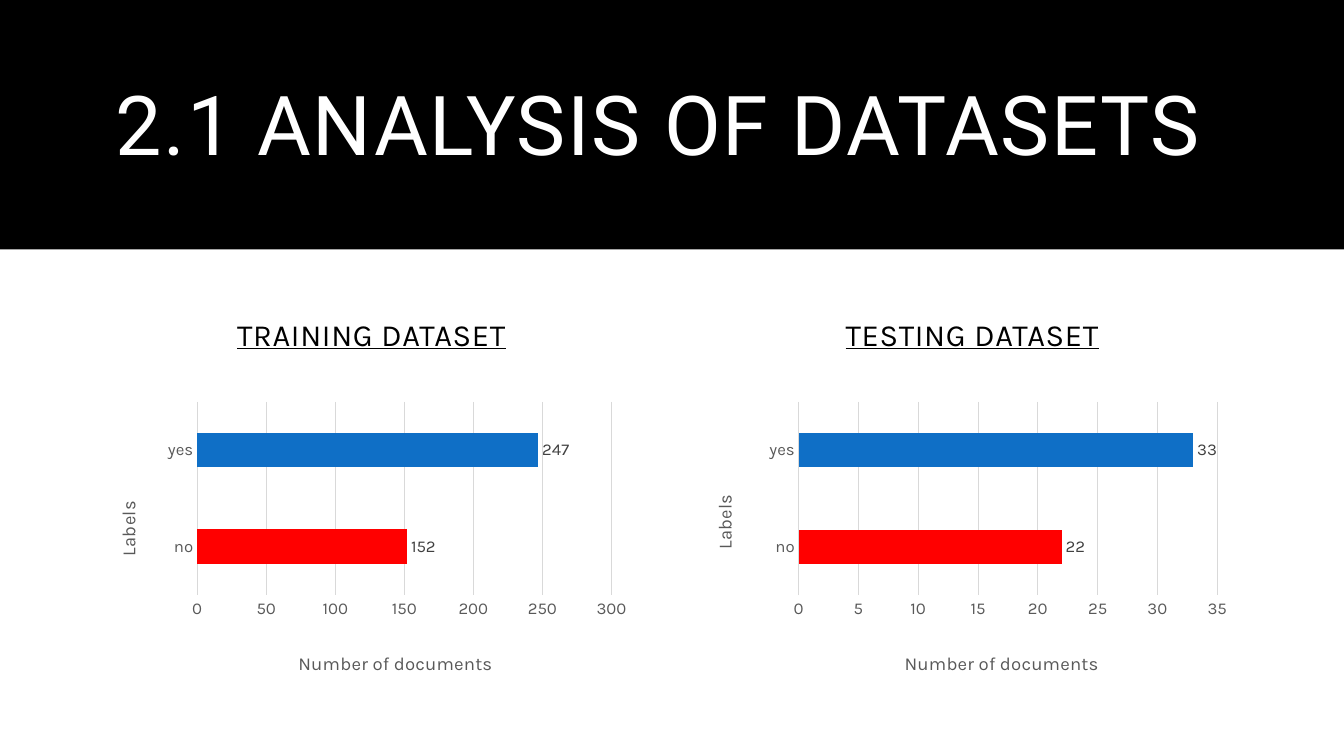
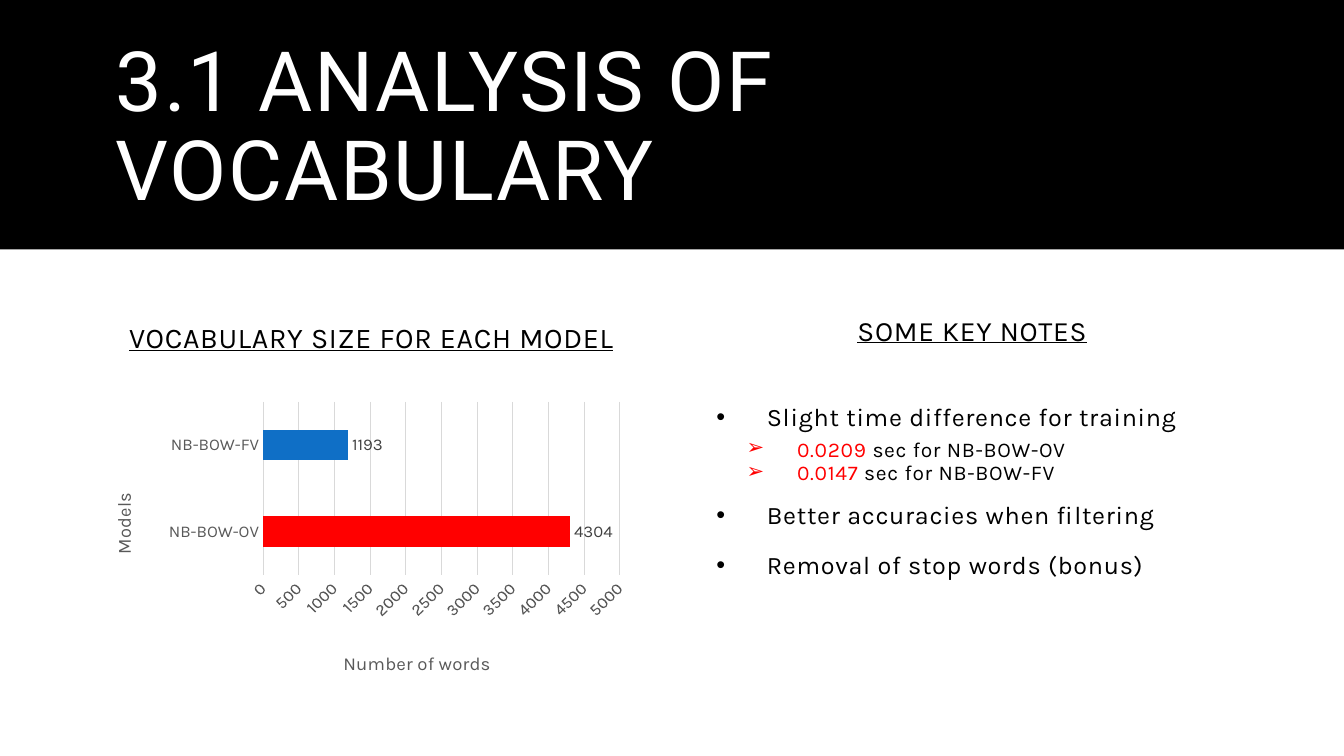
"""Build two analysis slides with bar charts and key notes."""
from dataclasses import dataclass

from lxml.etree import SubElement
from pptx import Presentation
from pptx.chart.data import CategoryChartData
from pptx.dml.color import RGBColor as RGB
from pptx.enum.chart import XL_CHART_TYPE as CT, XL_LABEL_POSITION as LP, XL_TICK_MARK as TM
from pptx.enum.shapes import MSO_SHAPE as SHAPE
from pptx.enum.text import MSO_ANCHOR as ANCHOR, MSO_AUTO_SIZE as FIT, PP_ALIGN as AL
from pptx.oxml.ns import qn
from pptx.util import Pt


@dataclass(frozen=True)
class Theme:
    black: RGB = RGB(0, 0, 0)
    white: RGB = RGB(255, 255, 255)
    red: RGB = RGB(255, 0, 0)
    blue: RGB = RGB(0x0F, 0x6F, 0xC6)
    axis: RGB = RGB(0x59, 0x59, 0x59)
    label: RGB = RGB(0x40, 0x40, 0x40)
    grid: RGB = RGB(0xD9, 0xD9, 0xD9)
    head: str = "Roboto"
    body: str = "Karla"
    title: float = 59
    title_wrapped: float = 59.4
    caption: float = 22
    caption_long: float = 20.4
    caption_notes: float = 20
    note: float = 18
    subnote: float = 15
    axis_title: float = 13.3
    tick: float = 12


T = Theme()
LEFT, RIGHT, COL_W = 75.6, 504.7, 379.4
BODY_TOP, BODY_H, CAPTION_H = 283, 203.8, 70.6


def write(tf, text, *, size, color=T.black, font=T.body, spacing=0.5, lead="", bold=False,
          underline=None, align=None, line=None, gap=None, bullet=None, indent=0, level=0):
    """Write one paragraph, with an optional red lead before the text."""
    p = tf.paragraphs[0]
    if p.runs:
        p = tf.add_paragraph()
    p.alignment, p.level = align, level
    if line is not None:
        p.line_spacing = line
    if gap is not None:
        p.space_before = p.space_after = Pt(gap)
    if bullet:
        pPr = p._p.get_or_add_pPr()
        pPr.set("marL", str(Pt(indent)))
        pPr.set("indent", str(Pt(-36)))
        SubElement(pPr, qn("a:buFont")).set("typeface", "Arial")
        SubElement(pPr, qn("a:buChar")).set("char", bullet)
    for part, tint in ((lead, T.red), (text, color)):
        if part:
            r = p.add_run()
            r.text = part
            r.font.size, r.font.name, r.font.bold = Pt(size), font, bold
            r.font.color.rgb, r.font.underline = tint, underline
            r._r.get_or_add_rPr().set("spc", str(round(spacing * 100)))


def set_layout(parent, index, x, y, w=None, h=None):
    """Place a chart part by hand, in points from the chart's corner."""
    old = parent.find(qn("c:layout"))
    if old is not None:
        parent.remove(old)
    layout = SubElement(parent, qn("c:layout"))
    manual = SubElement(layout, qn("c:manualLayout"))
    values = dict(xMode="edge", yMode="edge", x=x / COL_W, y=y / BODY_H)
    if w:
        values = dict(layoutTarget="inner", **values, w=w / COL_W, h=h / BODY_H)
    for name, value in values.items():
        SubElement(manual, qn(f"c:{name}")).set("val", str(value))
    parent.insert(index, layout)


slides = [
    dict(title="2.1 ANALYSIS OF DATASETS", size=T.title,
         captions=[("TRAINING DATASET", T.caption, LEFT, 203.1),
                   ("TESTING DATASET", T.caption, RIGHT, 203.1)],
         charts=[
             dict(left=LEFT, cats=("no", "yes"), vals=(152, 247), top=300, step=50, rot=0,
                  names=("Labels", "Number of documents"), plot=(65.3, 4.1, 295.9, 140.6),
                  cat_at=(4.3, 74.8), val_at=(135.1, 183.4)),
             dict(left=RIGHT, cats=("no", "yes"), vals=(22, 33), top=35, step=5, rot=0,
                  names=("Labels", "Number of documents"), plot=(65.8, 4.1, 299, 140.8),
                  cat_at=(1.2, 70), val_at=(139, 183.4))],
         notes=[]),
    dict(title="3.1 ANALYSIS OF VOCABULARY", size=T.title_wrapped,
         captions=[("VOCABULARY SIZE FOR EACH MODEL", T.caption_long, LEFT, 205.5),
                   ("SOME KEY NOTES", T.caption_notes, RIGHT, 200.2)],
         charts=[
             dict(left=LEFT, cats=("NB-BOW-OV", "NB-BOW-FV"), vals=(4304, 1193), top=5000,
                  step=500, rot=-45, names=("Models", "Number of words"),
                  plot=(112.3, 4.1, 254.9, 126.5), cat_at=(1.2, 68.7), val_at=(167.2, 184))],
         notes=[("", "Slight time difference for training"),
                ("0.0209", " sec for NB-BOW-OV"),
                ("0.0147", " sec for NB-BOW-FV"),
                ("", "Better accuracies when filtering"),
                ("", "Removal of stop words (bonus)")]),
]

prs = Presentation()
prs.slide_width, prs.slide_height = Pt(960), Pt(540)

for content in slides:
    s = prs.slides.add_slide(prs.slide_layouts[5])
    band = s.shapes.add_shape(SHAPE.RECTANGLE, 0, 0, prs.slide_width, Pt(178.1))
    band.shadow.inherit = False
    band.fill.solid()
    band.fill.fore_color.rgb = T.black
    band.line.fill.background()
    s.shapes._spTree.insert(2, band._element)

    title = s.shapes.title
    title.left, title.top, title.width, title.height = Pt(LEFT), Pt(25.2), Pt(808.6), Pt(133.9)
    tf = title.text_frame
    tf.word_wrap, tf.auto_size, tf.vertical_anchor = True, FIT.NONE, ANCHOR.MIDDLE
    write(tf, content["title"], size=content["size"], color=T.white, font=T.head,
          spacing=1.2, align=AL.LEFT, line=0.9)

    for text, size, left, top in content["captions"]:
        tf = s.shapes.add_textbox(Pt(left), Pt(top), Pt(COL_W), Pt(CAPTION_H)).text_frame
        tf.word_wrap, tf.vertical_anchor = True, ANCHOR.MIDDLE
        write(tf, text, size=size, underline=True, align=AL.CENTER, line=1.01, gap=7)

    for c in content["charts"]:
        data = CategoryChartData()
        data.categories = c["cats"]
        data.add_series("Series 1", c["vals"])
        chart = s.shapes.add_chart(CT.BAR_CLUSTERED, Pt(c["left"]), Pt(BODY_TOP),
                                   Pt(COL_W), Pt(BODY_H), data).chart
        chart.has_title = chart.has_legend = False
        chart.font.size, chart.font.name = Pt(T.tick), T.body

        plot = chart.plots[0]
        plot.gap_width, plot.vary_by_categories = 182, False
        series = plot.series[0]
        for fmt, color in ((series.format, T.blue), (series.points[0].format, T.red)):
            fmt.fill.solid()
            fmt.fill.fore_color.rgb = color
        labels = series.data_labels
        labels.show_value, labels.position = True, LP.OUTSIDE_END
        labels.font.size, labels.font.name = Pt(T.tick), T.body
        labels.font.color.rgb = T.label

        cat, val = chart.category_axis, chart.value_axis
        for axis, name, spot, rot in ((cat, c["names"][0], c["cat_at"], -90),
                                      (val, c["names"][1], c["val_at"], 0)):
            axis.major_tick_mark = axis.minor_tick_mark = TM.NONE
            font = axis.tick_labels.font
            font.size, font.name, font.color.rgb = Pt(T.tick), T.body, T.axis
            tf = axis.axis_title.text_frame
            write(tf, name, size=T.axis_title, color=T.axis, spacing=0)
            tf._txBody.find(qn("a:bodyPr")).set("rot", str(rot * 60000))
            set_layout(axis.axis_title._element, 1, *spot)
        cat.has_major_gridlines = False
        val.has_major_gridlines = True
        for edge in (cat.format.line, val.major_gridlines.format.line):
            edge.color.rgb, edge.width = T.grid, Pt(0.75)
        val.format.line.fill.background()
        val.minimum_scale, val.maximum_scale, val.major_unit = 0, c["top"], c["step"]
        ticks = val._element.find(qn("c:txPr")).find(qn("a:bodyPr"))
        ticks.set("rot", str(c["rot"] * 60000))
        set_layout(plot._element.getparent(), 0, *c["plot"])

    if content["notes"]:
        tf = s.shapes.add_textbox(Pt(RIGHT), Pt(BODY_TOP), Pt(COL_W), Pt(BODY_H)).text_frame
        tf.word_wrap = True
        for lead, text in content["notes"]:
            if lead:
                write(tf, text, lead=lead, size=T.subnote, line=0.5, gap=4,
                      bullet="➢", indent=57.6, level=1)
            else:
                write(tf, text, size=T.note, line=1.01, gap=7, bullet="•", indent=36)

prs.save("out.pptx")
